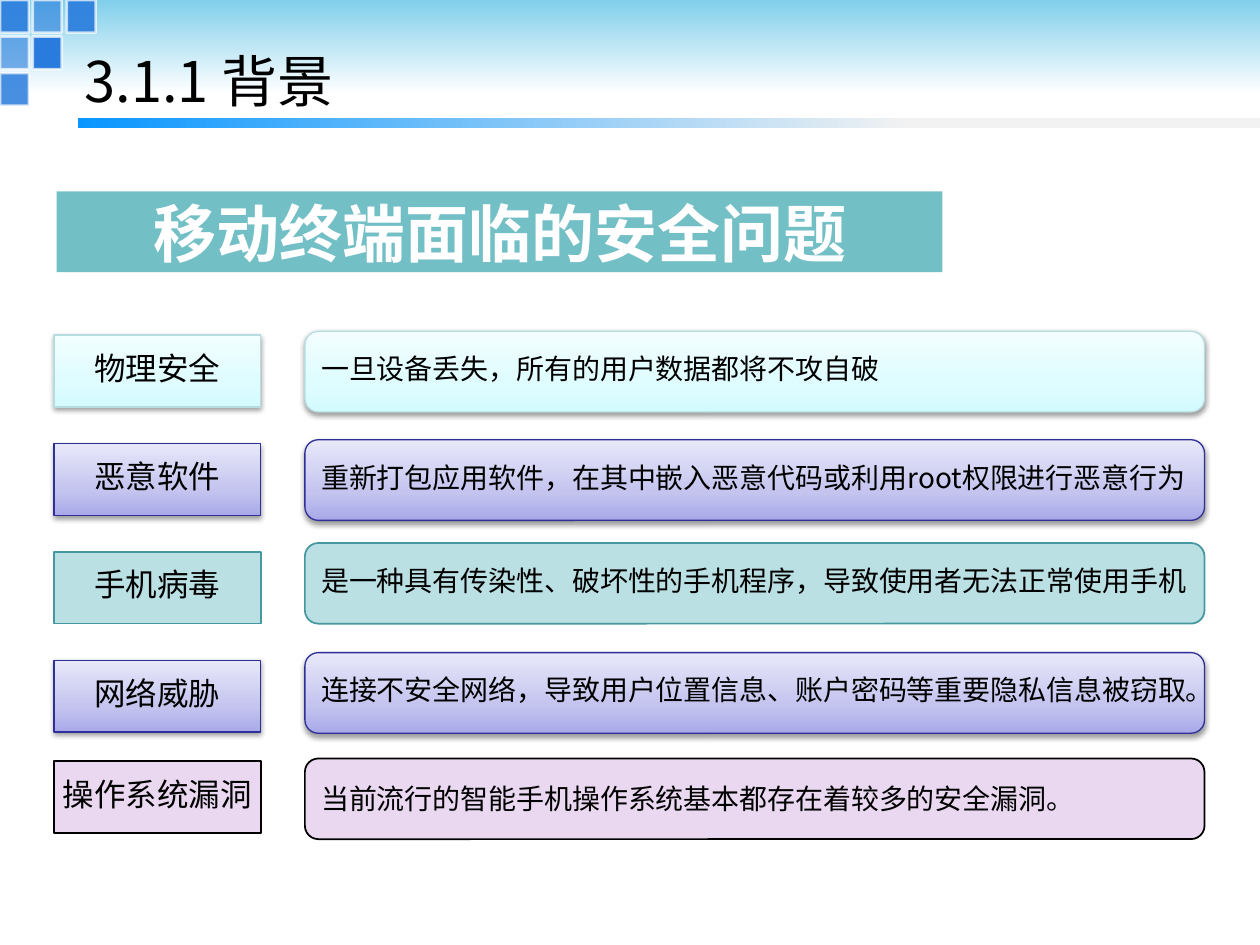
import dataclasses

import lxml.etree
import pptx
import pptx.dml.color
import pptx.enum.shapes
import pptx.enum.text
import pptx.oxml.ns
import pptx.util

Inches = pptx.util.Inches
Pt = pptx.util.Pt
RGB = pptx.dml.color.RGBColor.from_string
SHAPE = pptx.enum.shapes.MSO_SHAPE
ALIGN = pptx.enum.text.PP_ALIGN
ANCHOR = pptx.enum.text.MSO_ANCHOR
qn = pptx.oxml.ns.qn


@dataclasses.dataclass(frozen=True)
class Theme:
    font: str = "Noto Sans CJK SC"
    banner_font: str = "Arial"
    title_size: int = 32
    banner_size: int = 36
    label_size: int = 18
    detail_size: int = 16
    text: str = "000000"
    light: str = "FFFFFF"
    banner: str = "72BFC5"
    square: str = "297CDD"
    header: tuple = ((0, "81CFEB"), (100, "FFFFFF"))
    rule: tuple = ((0, "0996FF"), (65, "F2F2F2"))


@dataclasses.dataclass(frozen=True)
class BoxStyle:
    fill: object
    line: str
    line_width: float

    @property
    def raised(self):
        return isinstance(self.fill, tuple)


THEME = Theme()
CYAN = BoxStyle(((0, "D3FBFF"), (35, "DFFCFF"), (100, "F2FEFF")), "B6DCDF", 0.75)
VIOLET = BoxStyle(((0, "A9A9E9"), (35, "C4C4EF"), (100, "E8E8FA")), "2F2F98", 0.75)
TEAL = BoxStyle("BBE0E3", "4597A0", 1)
PINK = BoxStyle("E9D8F0", "000000", 1)

# Label, detail, style, label top, detail top, detail line spacing
ISSUES = (
    ("物理安全", "一旦设备丢失，所有的用户数据都将不攻自破", CYAN, 2.66, 2.63, 0.8),
    ("恶意软件", "重新打包应用软件，在其中嵌入恶意代码或利用root权限进行恶意行为",
     VIOLET, 3.52, 3.49, 0.8),
    ("手机病毒", "是一种具有传染性、破坏性的手机程序，导致使用者无法正常使用手机",
     TEAL, 4.38, 4.31, 0.8),
    ("网络威胁", "连接不安全网络，导致用户位置信息、账户密码等重要隐私信息被窃取。",
     VIOLET, 5.24, 5.18, 0.8),
    ("操作系统漏洞", "当前流行的智能手机操作系统基本都存在着较多的安全漏洞。",
     PINK, 6.04, 6.02, 1.0),
)

# Column, row and opacity of each corner square
SQUARES = ((0, 0, 90), (0, 1, 60), (0, 2, 85), (1, 1, 100), (1, 0, 60), (2, 0, 90))


def set_values(target, values):
    for name, value in values.items():
        setattr(target, name, value)


def add_child(parent, tag, **attributes):
    child = lxml.etree.SubElement(parent, qn(tag))
    for name, value in attributes.items():
        child.set(name, str(value))
    return child


def set_gradient(shape, stops, angle):
    shape.fill.gradient()
    gradient = shape._element.spPr.find(qn("a:gradFill"))
    stop_list = gradient.find(qn("a:gsLst"))
    for stop in list(stop_list):
        stop_list.remove(stop)
    for position, color in stops:
        stop = add_child(stop_list, "a:gs", pos=position * 1000)
        add_child(stop, "a:srgbClr", val=color)
    gradient.find(qn("a:lin")).set("ang", str(angle * 60000))


def set_opacity(fill_parent, percent):
    color = fill_parent.find(qn("a:solidFill")).find(qn("a:srgbClr"))
    add_child(color, "a:alpha", val=percent * 1000)


def add_soft_shadow(shape):
    effects = shape._element.spPr.find(qn("a:effectLst"))
    shadow = add_child(effects, "a:outerShdw", blurRad=Pt(3.1), dist=Pt(1.6),
                       dir=90 * 60000, rotWithShape=0)
    color = add_child(shadow, "a:srgbClr", val="000000")
    add_child(color, "a:alpha", val=38000)


def add_block(slide, kind, position, fill, angle=0):
    """Add a shape without outline or shadow; a tuple of stops gives a gradient."""
    shape = slide.shapes.add_shape(kind, *map(Inches, position))
    shape.shadow.inherit = False
    if isinstance(fill, tuple):
        set_gradient(shape, fill, angle)
    else:
        shape.fill.solid()
        shape.fill.fore_color.rgb = RGB(fill)
    shape.line.fill.background()
    return shape


def set_outline(shape, color, width):
    shape.line.color.rgb = RGB(color)
    shape.line.width = Pt(width)


def write_text(shape, text, size, font=THEME.font, color=THEME.text, bold=False,
               align=ALIGN.LEFT, spacing=1.0, wrap=True):
    frame = shape.text_frame
    set_values(frame, {"vertical_anchor": ANCHOR.MIDDLE, "word_wrap": wrap,
                       "auto_size": pptx.enum.text.MSO_AUTO_SIZE.NONE})
    paragraph = frame.paragraphs[0]
    set_values(paragraph, {"alignment": align, "line_spacing": spacing})
    run = paragraph.add_run()
    run.text = text
    set_values(run.font, {"name": font, "size": Pt(size), "bold": bold})
    run.font.color.rgb = RGB(color)
    add_child(run._r.get_or_add_rPr(), "a:ea", typeface=THEME.font)


def add_square(slide, column, row, opacity):
    position = ((0, 0.26, 0.53)[column], row * 0.29, 0.23, 0.26)
    square = add_block(slide, SHAPE.RECTANGLE, position, THEME.square)
    set_outline(square, THEME.light, 1.5)
    properties = square._element.spPr
    set_opacity(properties, opacity)
    set_opacity(properties.find(qn("a:ln")), 70)


def add_issue_box(slide, kind, position, style, text, **text_format):
    box = add_block(slide, kind, position, style.fill, 270)
    set_outline(box, style.line, style.line_width)
    if style.raised:
        add_soft_shadow(box)
    write_text(box, text, wrap=False, **text_format)


def place_title(slide, text):
    title = slide.shapes.title
    set_values(title, {"left": Inches(0.57), "top": Inches(0.21),
                       "width": Inches(9.79), "height": Inches(0.86)})
    write_text(title, text, THEME.title_size)


def main():
    presentation = pptx.Presentation()
    set_values(presentation, {"slide_width": Inches(10), "slide_height": Inches(7.5)})
    slide = presentation.slides.add_slide(presentation.slide_layouts[5])

    # Header decoration
    add_block(slide, SHAPE.RECTANGLE, (0, 0, 10, 0.75), THEME.header, 90)
    for square in SQUARES:
        add_square(slide, *square)
    add_block(slide, SHAPE.RECTANGLE, (0.62, 0.94, 10.16, 0.08), THEME.rule)

    # Title, moved in front of the header band
    place_title(slide, "3.1.1 背景")
    slide.shapes._spTree.append(slide.shapes.title._element)

    # Topic banner
    banner = add_block(slide, SHAPE.RECTANGLE, (0.45, 1.52, 7.03, 0.64), THEME.banner)
    write_text(banner, "移动终端面临的安全问题", THEME.banner_size, THEME.banner_font,
               THEME.light, True, ALIGN.CENTER)

    # Security issues: label on the left, detail on the right
    for label, detail, style, label_top, detail_top, spacing in ISSUES:
        add_issue_box(slide, SHAPE.RECTANGLE, (0.43, label_top, 1.64, 0.57), style,
                      label, size=THEME.label_size, align=ALIGN.CENTER, spacing=0.8)
        add_issue_box(slide, SHAPE.ROUNDED_RECTANGLE, (2.42, detail_top, 7.14, 0.64),
                      style, detail, size=THEME.detail_size, spacing=spacing)

    presentation.save("out.pptx")


if __name__ == "__main__":
    main()
